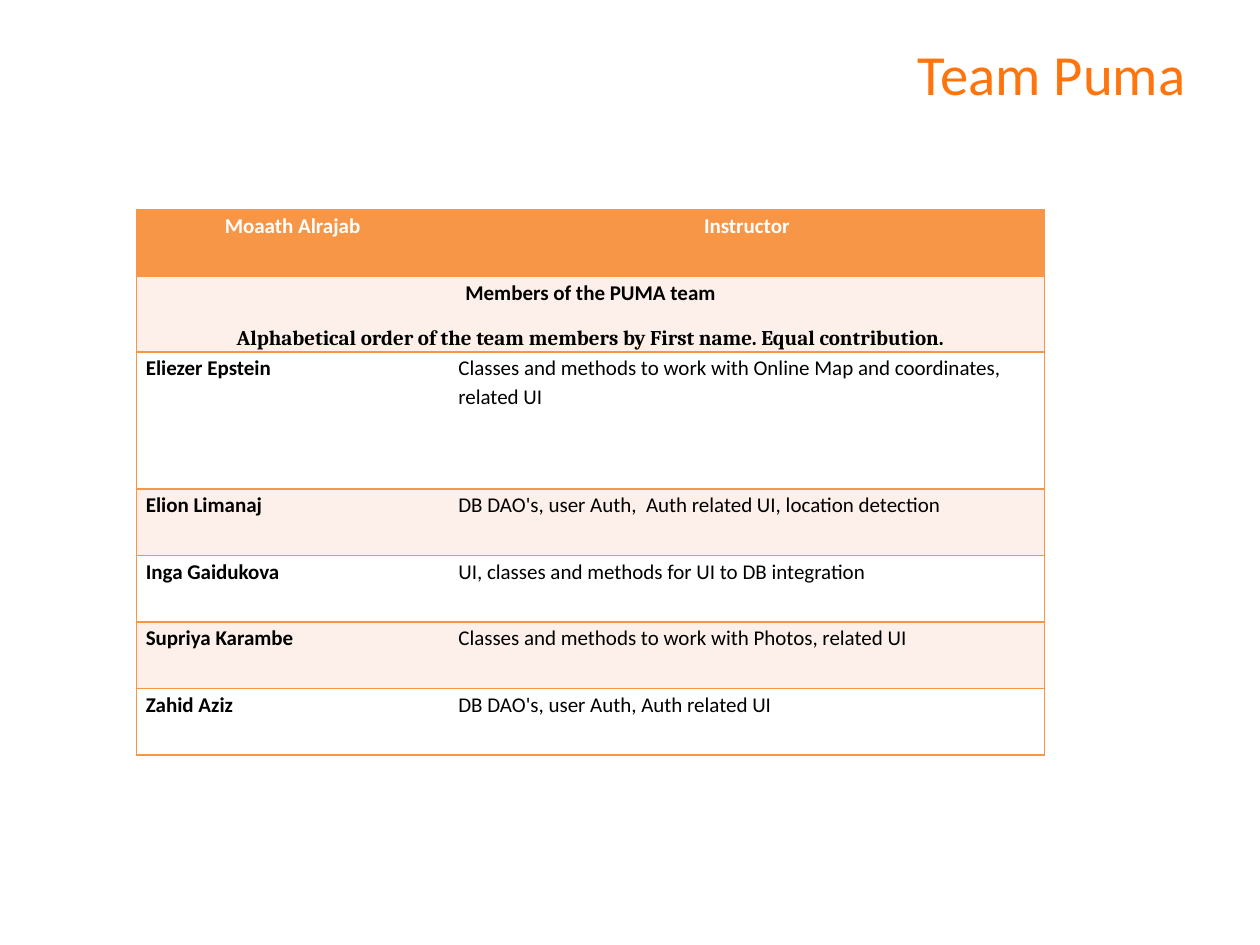
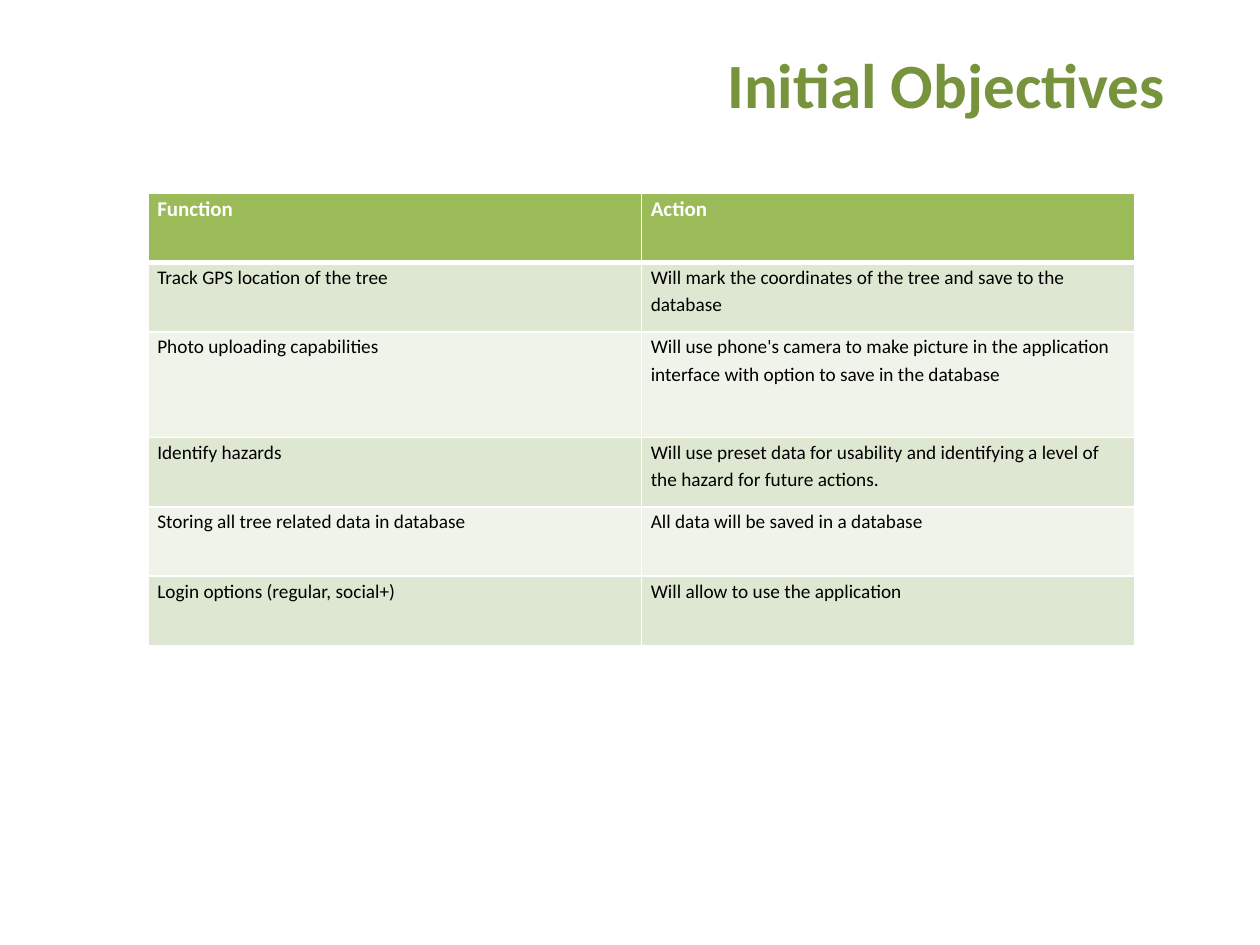
"""Builds the team and objectives slides, each with a title and a table."""
import pptx
import pptx.dml.color
import pptx.enum.text
import pptx.util
from lxml import etree
from pptx.oxml.ns import qn

Cm = pptx.util.Cm
Pt = pptx.util.Pt
ALIGN = pptx.enum.text.PP_ALIGN

COLORS = {
    "title_orange": "FF750D",
    "title_green": "77933C",
    "orange": "F79646",
    "orange_tint": "FDEFE9",
    "green": "9BBB59",
    "green_mid": "DEE7D1",
    "green_light": "EFF3EA",
    "white": "FFFFFF",
    "black": "000000",
}


class Deck:
    def __init__(self):
        self.prs = pptx.Presentation()
        self.prs.slide_width = Cm(25.4)
        self.prs.slide_height = Cm(19.05)
        self.font = "Calibri"
        self.s = None

    def slide(self):
        self.s = self.prs.slides.add_slide(self.prs.slide_layouts[6])

    def run(self, p, text, size, color, bold=False, font=None):
        r = p.add_run()
        r.text = text
        r.font.name = font or self.font
        r.font.size = Pt(size)
        r.font.bold = bold
        r.font.color.rgb = pptx.dml.color.RGBColor.from_string(COLORS[color])

    def title(self, text, left, width, height, size, color, bold=False):
        sp = self.s.shapes.add_textbox(Cm(left), Cm(0.61), Cm(width), Cm(height))
        tf = sp.text_frame
        tf.word_wrap = True
        tf.vertical_anchor = pptx.enum.text.MSO_ANCHOR.MIDDLE
        p = tf.paragraphs[0]
        p.alignment = ALIGN.RIGHT
        self.run(p, text, size, color, bold)

    def table(self, left, top, cols, rows):
        sp = self.s.shapes.add_table(len(rows), len(cols), Cm(left), Cm(top),
                                     Cm(sum(cols)), Cm(sum(rows)))
        t = sp.table
        t.first_row = t.horz_banding = False
        for column, width in zip(t.columns, cols):
            column.width = Cm(width)
        for row, height in zip(t.rows, rows):
            row.height = Cm(height)
        return t

    def borders(self, cell, color, widths):
        tcPr = cell._tc.get_or_add_tcPr()
        for side in "LRTB":
            width = widths.get(side, 0)
            ln = etree.SubElement(tcPr, qn(f"a:ln{side}"), w=str(Pt(width)))
            if width:
                fill = etree.SubElement(ln, qn("a:solidFill"))
                etree.SubElement(fill, qn("a:srgbClr"), val=COLORS[color])
            else:
                etree.SubElement(ln, qn("a:noFill"))

    def cell(self, cell, fill, line, widths):
        self.borders(cell, line, widths)
        cell.fill.solid()
        cell.fill.fore_color.rgb = pptx.dml.color.RGBColor.from_string(COLORS[fill])
        cell.margin_left = cell.margin_right = Cm(0.19)
        cell.margin_top = cell.margin_bottom = 0

    def paragraph(self, p, text, size, color, bold=False, align=ALIGN.LEFT, font=None):
        p.alignment = align
        p.line_spacing = 1.15
        p.space_after = Pt(10)
        self.run(p, text, size, color, bold, font)


def team_slide(deck):
    deck.slide()
    deck.title("Team Puma", 1.24, 22.91, 1.7, 32.4, "title_orange")
    rows = [
        ("Moaath Alrajab", "Instructor"),
        ("Members of the PUMA team",
         "Alphabetical order of the team members by First name. Equal contribution."),
        ("Eliezer Epstein",
         "Classes and methods to work with Online Map and coordinates, related UI"),
        ("Elion Limanaj", "DB DAO's, user Auth,  Auth related UI, location detection"),
        ("Inga Gaidukova", "UI, classes and methods for UI to DB integration"),
        ("Supriya Karambe", "Classes and methods to work with Photos, related UI"),
        ("Zahid Aziz", "DB DAO's, user Auth, Auth related UI"),
    ]
    heights = [2.77 if i == 2 else 1.34 for i in range(len(rows))]
    t = deck.table(2.75, 4.23, [6.3, 12.01], heights)
    members = t.cell(1, 0)
    members.merge(t.cell(1, 1))
    for i, texts in enumerate(rows):
        fill = "orange" if i == 0 else ("orange_tint" if i % 2 else "white")
        for j, text in enumerate(texts):
            sides = "LRTB" if i == 1 else "LR"[j] + "TB"
            deck.cell(t.cell(i, j), fill, "orange", dict.fromkeys(sides, 1))
            if i != 1:
                deck.paragraph(t.cell(i, j).text_frame.paragraphs[0], text, 12,
                               "black" if i else "white", i == 0 or j == 0,
                               ALIGN.LEFT if i else ALIGN.CENTER)
    tf = members.text_frame
    heading, note = rows[1]
    deck.paragraph(tf.paragraphs[0], heading, 12, "black", True, ALIGN.CENTER)
    deck.paragraph(tf.add_paragraph(), note, 12, "black", True, ALIGN.CENTER, "Cambria")


def objectives_slide(deck):
    deck.slide()
    deck.title("Initial Objectives", 1.68, 22.05, 2.13, 36, "title_green", True)
    rows = [
        ("Function", "Action"),
        ("Track GPS location of the tree",
         "Will mark the coordinates of the tree and save to the database"),
        ("Photo uploading capabilities",
         "Will use phone's camera to make picture in the application interface "
         "with option to save in the database"),
        ("Identify hazards",
         "Will use preset data for usability and identifying a level of the hazard "
         "for future actions."),
        ("Storing all tree related data in database", "All data will be saved in a database"),
        ("Login options (regular, social+)", "Will allow to use the application"),
    ]
    heights = [2.13 if i == 2 else 1.4 for i in range(len(rows))]
    t = deck.table(2.98, 3.89, [9.95, 9.95], heights)
    for i, texts in enumerate(rows):
        fill = "green" if i == 0 else ("green_mid" if i % 2 else "green_light")
        widths = {"L": 1, "R": 1, "T": 3 if i == 1 else 1, "B": 1 if i else 3}
        for j, text in enumerate(texts):
            deck.cell(t.cell(i, j), fill, "white", widths)
            deck.paragraph(t.cell(i, j).text_frame.paragraphs[0], text,
                           11 if i else 12, "black" if i else "white", i == 0)


def main():
    deck = Deck()
    team_slide(deck)
    objectives_slide(deck)
    deck.prs.save("out.pptx")


if __name__ == "__main__":
    main()
